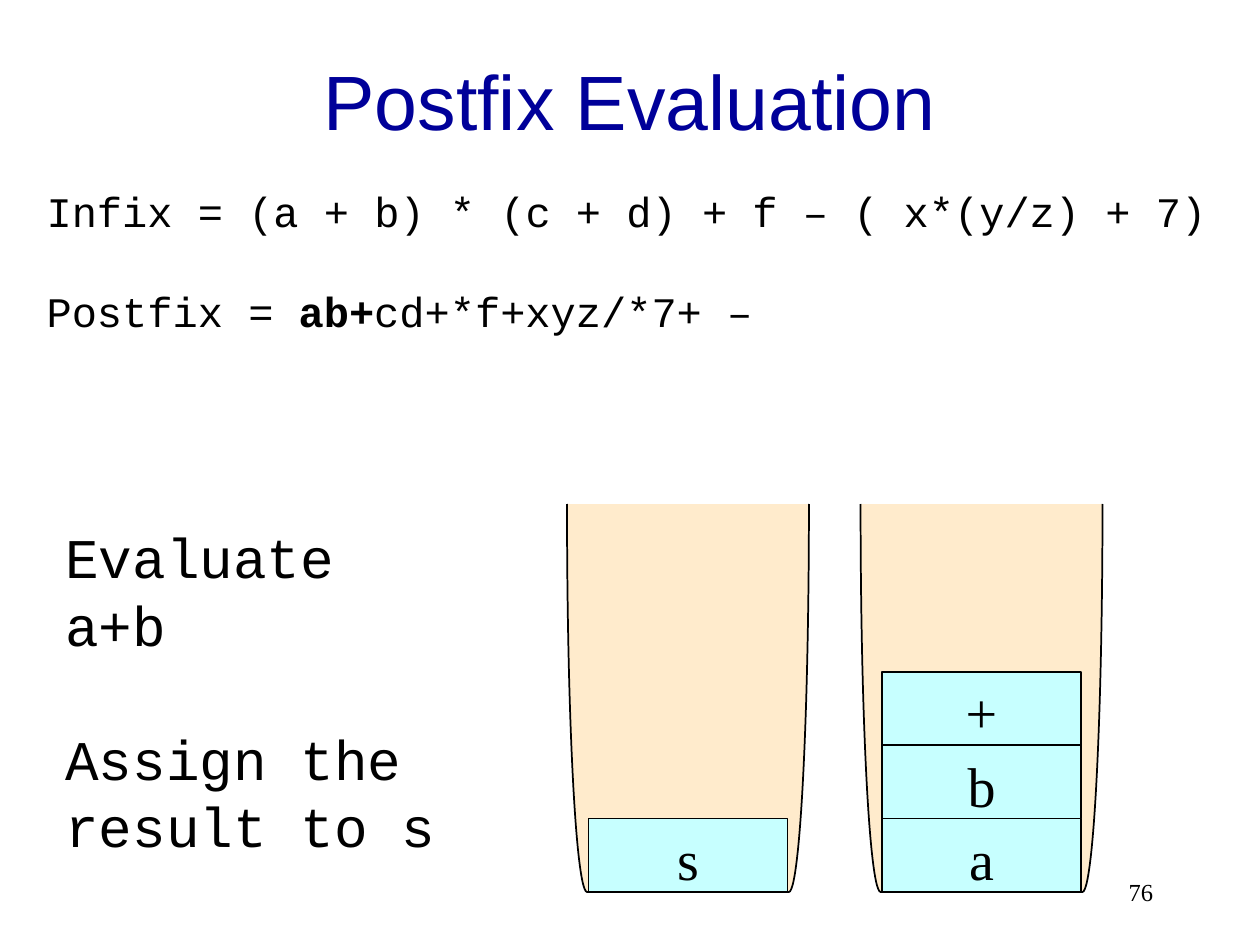
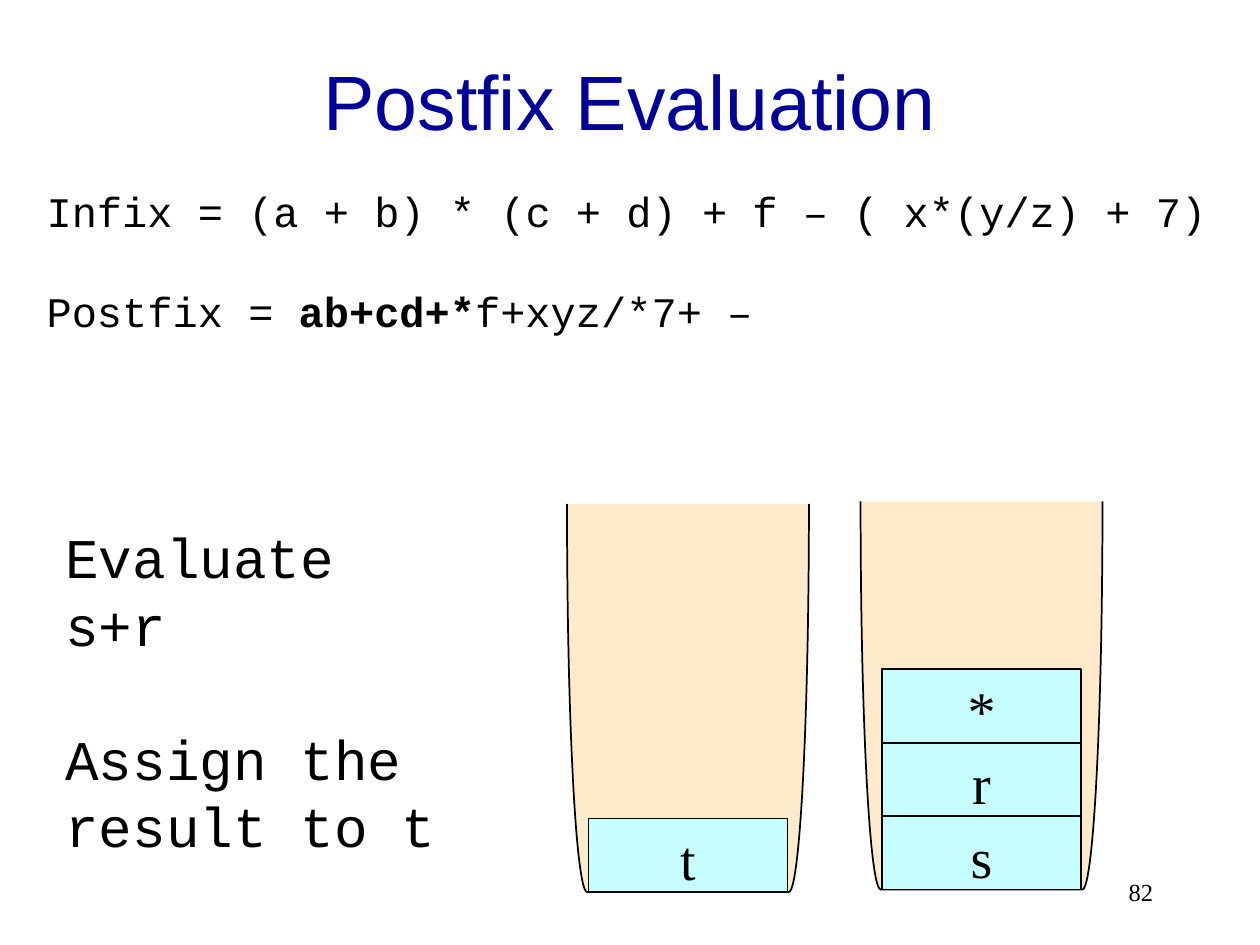
from pptx import Presentation
from pptx.dml.color import RGBColor
from pptx.enum.shapes import MSO_SHAPE
from pptx.enum.text import MSO_ANCHOR, PP_ALIGN
from pptx.util import Inches, Pt

NAVY = RGBColor(0x00, 0x00, 0x99)
BLACK = RGBColor(0x00, 0x00, 0x00)
PEACH = RGBColor(0xFF, 0xEB, 0xCC)
AQUA = RGBColor(0xC7, 0xFF, 0xFF)
SANS, MONO, SERIF = "Arial", "Courier New", "Times New Roman"
BRACKET, RECT = MSO_SHAPE.LEFT_BRACKET, MSO_SHAPE.RECTANGLE
CENTER, RIGHT, LEFT = PP_ALIGN.CENTER, PP_ALIGN.RIGHT, PP_ALIGN.LEFT
TOP, MIDDLE = MSO_ANCHOR.TOP, MSO_ANCHOR.MIDDLE

LINE_HEIGHT = 1.2
STACK_W, STACK_H = 1.92, 3.08
CELL_W, CELL_H = 1.58, 0.583
RESULT_X, OPERAND_X = 4.5, 6.83
INFIX = "Infix = (a + b) * (c + d) + f – ( x*(y/z) + 7)"


def style(font, name, size, color=BLACK):
    """Set the typeface, size and colour of a font."""
    font.name, font.size, font.color.rgb = name, Pt(size), color


def add_title(s, text):
    """Place and format the title placeholder."""
    title = s.shapes.title
    title.left, title.top = Inches(0.75), Inches(0.17)
    title.width, title.height = Inches(8.5), Inches(1.25)
    tf = title.text_frame
    tf.text = text
    tf.vertical_anchor = MIDDLE
    p = tf.paragraphs[0]
    p.alignment = CENTER
    style(p.runs[0].font, SANS, 44, NAVY)


def add_text(s, box, anchor=TOP):
    """Add a wrapping text box and return its text frame."""
    tf = s.shapes.add_textbox(*map(Inches, box)).text_frame
    tf.word_wrap = True
    tf.vertical_anchor = anchor
    return tf


def add_code_lines(s, box, size, lines, gap_before):
    """Add monospaced lines of (text, bold) runs, with a one-line gap before one."""
    tf = add_text(s, box)
    for i, runs in enumerate(lines):
        p = tf.paragraphs[0] if i == 0 else tf.add_paragraph()
        p.alignment = LEFT
        p.line_spacing = Pt(size * LINE_HEIGHT)
        if i == gap_before:
            p.space_before = Pt(size * LINE_HEIGHT)
        for text, bold in runs:
            r = p.add_run()
            r.text = text
            style(r.font, MONO, size)
            r.font.bold = bold
    return tf


def add_expressions(s, done, rest):
    """Show the infix form and the postfix form with its processed part bold."""
    tf = add_code_lines(s, (0.21, 1.42, 9.58, 1.31), 24,
                        [[(INFIX, False)],
                         [("Postfix = ", False), (done, True), (rest, False)]], 1)
    tf.margin_left = Inches(0.16)


def add_page_number(s, number):
    """Write the page number at the lower right."""
    tf = add_text(s, (7.17, 6.83, 2.08, 0.5), MIDDLE)
    tf.text = str(number)
    p = tf.paragraphs[0]
    p.alignment = RIGHT
    style(p.runs[0].font, SERIF, 14)


def add_outlined(s, kind, box, fill):
    """Add a filled preset shape with a thin black outline."""
    sp = s.shapes.add_shape(kind, *map(Inches, box))
    sp.shadow.inherit = False
    sp.fill.solid()
    sp.fill.fore_color.rgb = fill
    sp.line.color.rgb = BLACK
    sp.line.width = Pt(1)
    return sp


def add_stack(s, left, bottom, items):
    """Draw an open container holding the items, the first one lowest."""
    shift = (STACK_H - STACK_W) / 2
    box = (left - shift, bottom - STACK_H + shift, STACK_H, STACK_W)
    add_outlined(s, BRACKET, box, PEACH).rotation = 270
    cell_left = left + (STACK_W - CELL_W) / 2
    for level, item in enumerate(items, 1):
        box = (cell_left, bottom - level * CELL_H, CELL_W, CELL_H)
        tf = add_outlined(s, RECT, box, AQUA).text_frame
        tf.text = item
        tf.vertical_anchor = TOP
        p = tf.paragraphs[0]
        p.alignment = CENTER
        style(p.runs[0].font, SERIF, 32)


def add_step(prs, number, done, rest, operands, result, operand_bottom):
    """Build one evaluation step of the postfix expression."""
    s = prs.slides.add_slide(prs.slide_layouts[5])
    add_title(s, "Postfix Evaluation")
    add_page_number(s, number)
    add_expressions(s, done, rest)
    add_stack(s, RESULT_X, 7.08, [result])
    steps = ["Evaluate", "+".join(operands[:2]), f"Assign the result to {result}"]
    add_code_lines(s, (0.42, 4.1, 3.5, 2.79), 32, [[(t, False)] for t in steps], 2)
    add_stack(s, OPERAND_X, operand_bottom, operands)


def main():
    """Build the deck and save it."""
    prs = Presentation()
    prs.slide_width, prs.slide_height = Inches(10), Inches(7.5)
    add_step(prs, 76, "ab+", "cd+*f+xyz/*7+ –", ["a", "b", "+"], "s", 7.08)
    add_step(prs, 82, "ab+cd+*", "f+xyz/*7+ –", ["s", "r", "*"], "t", 7.06)
    prs.save("out.pptx")


if __name__ == "__main__":
    main()
